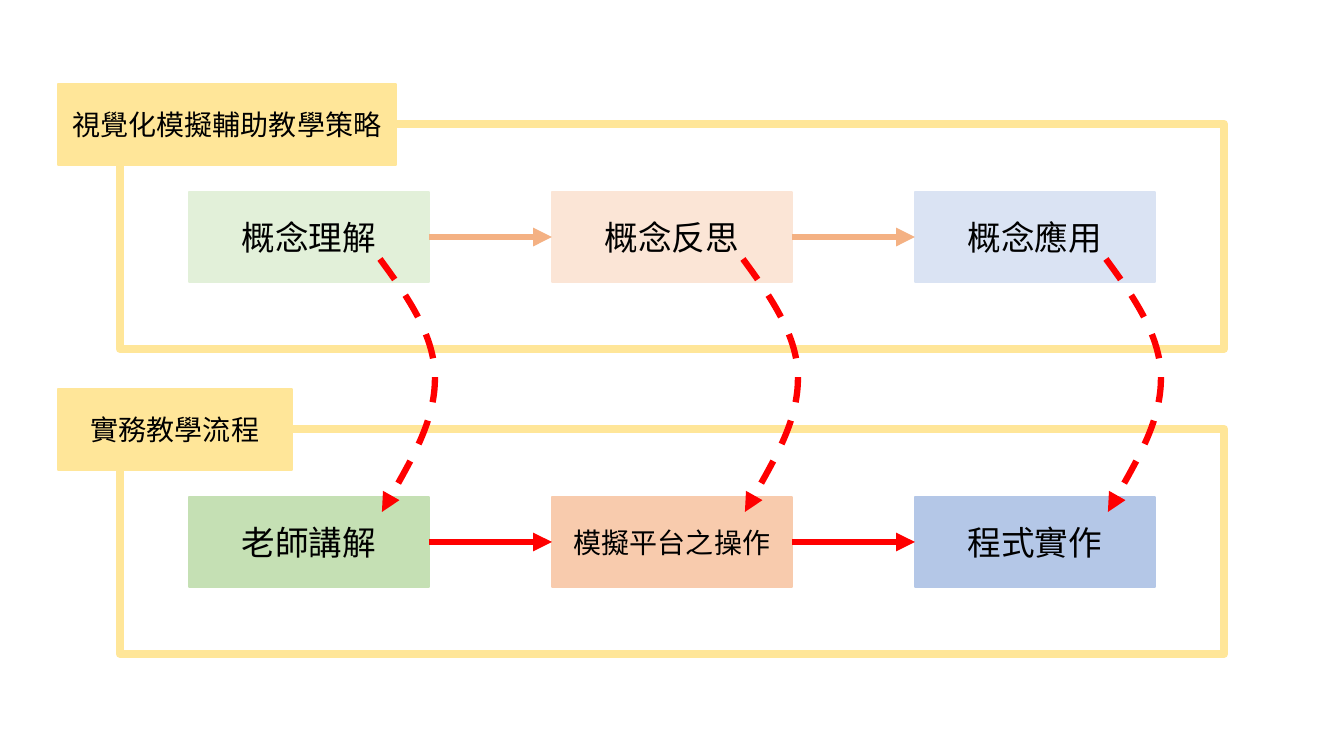
"""Build a slide pairing a visual-simulation teaching strategy with its classroom steps."""
import pptx
import pptx.dml.color
import pptx.enum.dml
import pptx.enum.shapes
import pptx.enum.text
import pptx.oxml.ns
import pptx.util
from lxml import etree

FONT = "Noto Sans CJK SC"
COLORS = {
    "text": "000000", "frame": "FFE699", "soft_arrow": "F4B183", "red": "FF0000",
    "pale_green": "E2F0D9", "pale_orange": "FBE5D6", "pale_blue": "DAE3F3",
    "green": "C5E0B4", "orange": "F8CBAD", "blue": "B4C7E7",
}
STAGES = [
    {"label": "視覺化模擬輔助教學策略", "label_width": 338, "arrow": "soft_arrow",
     "steps": [("概念理解", 24, "pale_green"), ("概念反思", 24, "pale_orange"),
               ("概念應用", 24, "pale_blue")]},
    {"label": "實務教學流程", "label_width": 234, "arrow": "red",
     "steps": [("老師講解", 24, "green"), ("模擬平台之操作", 20, "orange"),
               ("程式實作", 24, "blue")]},
]

SCALE = 914400 / 100.8
STAGE_PITCH = 305
FRAME_LEFT, FRAME_TOP, FRAME_WIDTH, FRAME_HEIGHT = 120, 124, 1104, 225
LABEL_LEFT, LABEL_TOP, LABEL_HEIGHT = 58, 84, 81
STEP_LEFT, STEP_TOP, STEP_WIDTH, STEP_HEIGHT, STEP_PITCH = 189, 192, 240, 90, 363
LINK_DX, LINK_TOP = 191, 259
LINK_CURVE = [(28, 38), (55, 77), (55, 119), (55, 161), (28, 207), (2, 253)]


def px(length):
    return pptx.util.Emu(round(length * SCALE))


def rgb(name):
    return pptx.dml.color.RGBColor.from_string(COLORS[name])


def style_line(line, color, width):
    line.color.rgb = rgb(color)
    line.width = pptx.util.Pt(width)


def add_arrowhead(line_shape):
    outline = line_shape.line._get_or_add_ln()
    etree.SubElement(outline, pptx.oxml.ns.qn("a:tailEnd"), type="triangle")


def add_rectangle(slide, left, top, width, height, color, line_width):
    rectangle = slide.shapes.add_shape(
        pptx.enum.shapes.MSO_SHAPE.RECTANGLE, px(left), px(top), px(width), px(height))
    rectangle.shadow.inherit = False
    style_line(rectangle.line, color, line_width)
    return rectangle


def add_box(slide, left, top, width, height, color, text, size):
    box = add_rectangle(slide, left, top, width, height, color, 1)
    box.fill.solid()
    box.fill.fore_color.rgb = rgb(color)
    frame = box.text_frame
    frame.text = text
    frame.word_wrap = False
    frame.vertical_anchor = pptx.enum.text.MSO_ANCHOR.MIDDLE
    paragraph = frame.paragraphs[0]
    paragraph.alignment = pptx.enum.text.PP_ALIGN.CENTER
    run = paragraph.runs[0]
    run.font.size = pptx.util.Pt(size)
    run.font.color.rgb = rgb("text")
    run.font.name = FONT
    etree.SubElement(run.font._element, pptx.oxml.ns.qn("a:ea"), typeface=FONT)
    return box


def add_step_arrow(slide, source, target, color):
    arrow = slide.shapes.add_connector(
        pptx.enum.shapes.MSO_CONNECTOR.STRAIGHT, 0, 0, 0, 0)
    arrow.begin_connect(source, 3)
    arrow.end_connect(target, 1)
    style_line(arrow.line, color, 4.5)
    add_arrowhead(arrow)
    etree.SubElement(arrow._element.spPr, pptx.oxml.ns.qn("a:effectLst"))


def add_link(slide, left, top):
    builder = slide.shapes.build_freeform(left, top, scale=SCALE)
    builder.add_line_segments([(left + dx, top + dy) for dx, dy in LINK_CURVE], close=False)
    link = builder.convert_to_shape()
    segments = list(link._element.iter(pptx.oxml.ns.qn("a:lnTo")))
    outline = segments[0].getparent()
    for start in range(0, len(segments), 3):
        curve = etree.SubElement(outline, pptx.oxml.ns.qn("a:cubicBezTo"))
        for segment in segments[start:start + 3]:
            curve.append(segment[0])
            outline.remove(segment)
    link.shadow.inherit = False
    link.fill.background()
    style_line(link.line, "red", 4.5)
    link.line.dash_style = pptx.enum.dml.MSO_LINE.DASH
    add_arrowhead(link)


def main():
    deck = pptx.Presentation()
    deck.slide_width, deck.slide_height = px(1344), px(756)
    slide = deck.slides.add_slide(deck.slide_layouts[6])

    for row, stage in enumerate(STAGES):
        shift = row * STAGE_PITCH
        frame = add_rectangle(slide, FRAME_LEFT, FRAME_TOP + shift,
                              FRAME_WIDTH, FRAME_HEIGHT, "frame", 6)
        frame.fill.background()
        add_box(slide, LABEL_LEFT, LABEL_TOP + shift, stage["label_width"],
                LABEL_HEIGHT, "frame", stage["label"], 20)
        steps = [add_box(slide, STEP_LEFT + column * STEP_PITCH, STEP_TOP + shift,
                         STEP_WIDTH, STEP_HEIGHT, color, text, size)
                 for column, (text, size, color) in enumerate(stage["steps"])]
        for source, target in zip(steps, steps[1:]):
            add_step_arrow(slide, source, target, stage["arrow"])

    for column in range(len(STAGES[0]["steps"])):
        add_link(slide, STEP_LEFT + column * STEP_PITCH + LINK_DX, LINK_TOP)

    deck.save("out.pptx")


if __name__ == "__main__":
    main()
